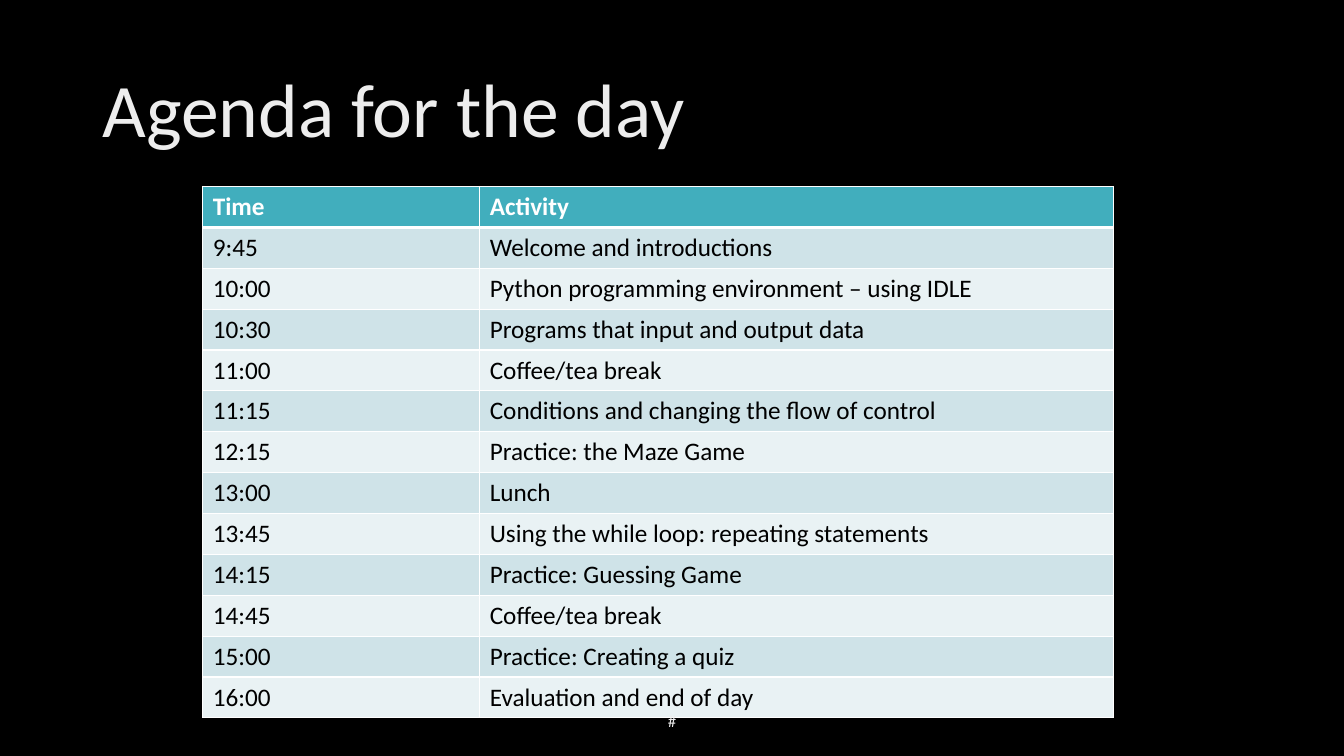
"""Build the agenda slide with its timetable."""
from lxml import etree
from pptx import Presentation
from pptx.dml.color import RGBColor
from pptx.enum.text import MSO_ANCHOR, PP_ALIGN
from pptx.oxml.ns import qn
from pptx.util import Cm, Pt

TITLE = "Agenda for the day"
MARK = "#"
ROWS = [
    ("Time", "Activity"),
    ("9:45", "Welcome and introductions"),
    ("10:00", "Python programming environment – using IDLE"),
    ("10:30", "Programs that input and output data"),
    ("11:00", "Coffee/tea break"),
    ("11:15", "Conditions and changing the flow of control"),
    ("12:15", "Practice: the Maze Game"),
    ("13:00", "Lunch"),
    ("13:45", "Using the while loop: repeating statements"),
    ("14:15", "Practice: Guessing Game"),
    ("14:45", "Coffee/tea break"),
    ("15:00", "Practice: Creating a quiz"),
    ("16:00", "Evaluation and end of day"),
]
COLS = (6.98, 15.97)
HIGH = 1.03

BLACK = RGBColor(0x00, 0x00, 0x00)
WHITE = RGBColor(0xFF, 0xFF, 0xFF)
PALE = RGBColor(0xED, 0xED, 0xED)
TEAL = RGBColor(0x41, 0xAE, 0xBD)
BANDS = (RGBColor(0xE9, 0xF2, 0xF4), RGBColor(0xCF, 0xE3, 0xE8))

LEFT, CENTER = PP_ALIGN.LEFT, PP_ALIGN.CENTER
MIDDLE, TOP = MSO_ANCHOR.MIDDLE, MSO_ANCHOR.TOP


def write(frame, text, size=18, color=BLACK, bold=False, align=LEFT,
          anchor=TOP, space=1.0):
    """Put one formatted paragraph into a text frame."""
    frame.word_wrap = True
    frame.vertical_anchor = anchor
    para = frame.paragraphs[0]
    para.alignment = align
    para.line_spacing = space
    run = para.add_run()
    run.text = text
    font = run.font
    font.name, font.size, font.bold = "Calibri", Pt(size), bold
    font.color.rgb = color


def edge(cell, side, width):
    """Draw a white line along one side of a cell."""
    line = etree.SubElement(cell._tc.get_or_add_tcPr(), qn("a:ln" + side),
                            w=str(Pt(width)))
    fill = etree.SubElement(line, qn("a:solidFill"))
    etree.SubElement(fill, qn("a:srgbClr"), val=str(WHITE))


def fill_table(table):
    """Size, colour and fill the timetable."""
    for col, wide in zip(table.columns, COLS):
        col.width = Cm(wide)
    for r, texts in enumerate(ROWS):
        table.rows[r].height = Cm(HIGH)
        head = r == 0
        for c, text in enumerate(texts):
            cell = table.cell(r, c)
            write(cell.text_frame, text, bold=head,
                  color=WHITE if head else BLACK)
            for side in "LRTB":
                thick = (r, side) in ((0, "B"), (1, "T"))
                edge(cell, side, 3 if thick else 1)
            cell.fill.solid()
            cell.fill.fore_color.rgb = TEAL if head else BANDS[r % 2]


def main():
    """Assemble and save the slide."""
    deck = Presentation()
    deck.slide_width, deck.slide_height = Cm(33.87), Cm(19.05)
    slide = deck.slides.add_slide(deck.slide_layouts[5])
    back = slide.background.fill
    back.solid()
    back.fore_color.rgb = BLACK

    title = slide.shapes.title
    title.left, title.top = Cm(2.33), Cm(1.01)
    title.width, title.height = Cm(29.21), Cm(3.68)
    write(title.text_frame, TITLE, size=54, color=PALE, anchor=MIDDLE,
          space=0.9)

    grid = slide.shapes.add_table(len(ROWS), len(COLS), Cm(5.11), Cm(4.7),
                                  Cm(sum(COLS)), Cm(HIGH * len(ROWS)))
    fill_table(grid.table)

    mark = slide.shapes.add_textbox(Cm(11.22), Cm(17.66), Cm(11.43), Cm(1.01))
    write(mark.text_frame, MARK, size=12, color=PALE, align=CENTER,
          anchor=MIDDLE)
    deck.save("out.pptx")


if __name__ == "__main__":
    main()
